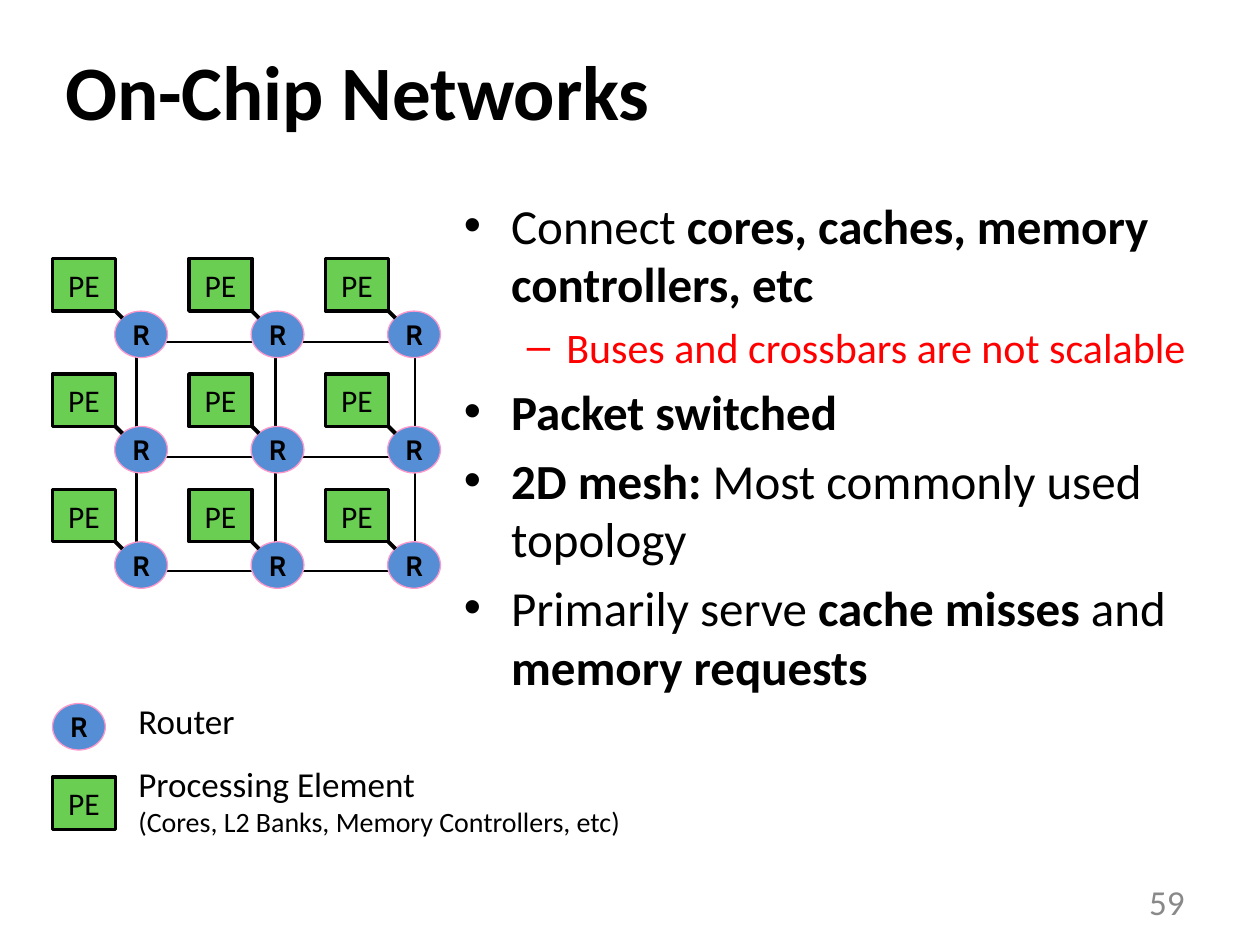
from pptx import Presentation
from pptx.util import Pt
from pptx.dml.color import RGBColor
from pptx.enum.shapes import MSO_SHAPE as Shape, MSO_CONNECTOR as Link
from pptx.enum.text import PP_ALIGN as Align, MSO_ANCHOR as Anchor
from pptx.enum.text import MSO_AUTO_SIZE as Auto
from pptx.oxml import parse_xml
from pptx.oxml.ns import nsdecls
from pptx.oxml.xmlchemy import OxmlElement as Node

INK = {"black": "000000", "red": "FF0000", "gray": "898989",
       "blue": "558ED5", "green": "6ACE52", "pink": "FF99CC"}


def rgb(name):
    return RGBColor.from_string(INK[name])


def write(para, text, size=20, color="black", bold=False, font="Calibri"):
    run = para.add_run()
    run.text = text
    run.font.size = Pt(size)
    run.font.name = font
    run.font.bold = bold
    run.font.color.rgb = rgb(color)


def bullet(para, mark, left, hang):
    props = para._p.get_or_add_pPr()
    props.set("marL", str(Pt(left)))
    props.set("indent", str(-Pt(hang)))
    face = Node("a:buFont")
    face.set("typeface", "Arial")
    sign = Node("a:buChar")
    sign.set("char", mark)
    props.extend([face, sign])


class Board:
    """Holds the slide and the place (slide or group) that shapes go to."""

    def __init__(self, slide):
        self.slide = slide
        self.place = slide.shapes

    def group(self):
        self.place = self.slide.shapes.add_group_shape().shapes

    def ungroup(self):
        self.place = self.slide.shapes

    def title(self, text, *box):
        head = self.slide.shapes.title
        head.left, head.top, head.width, head.height = map(Pt, box)
        frame = head.text_frame
        frame.vertical_anchor = Anchor.MIDDLE
        para = frame.paragraphs[0]
        para.alignment = Align.LEFT
        write(para, text, size=44, bold=True)

    def text(self, lines, *box, wrap=False, align=Align.LEFT, anchor=Anchor.TOP):
        """Add a text box; each line is a (text, format) pair."""
        frame = self.place.add_textbox(*map(Pt, box)).text_frame
        frame.word_wrap = wrap
        frame.auto_size = Auto.NONE if wrap else Auto.SHAPE_TO_FIT_TEXT
        frame.vertical_anchor = anchor
        for i, (line, form) in enumerate(lines):
            para = frame.add_paragraph() if i else frame.paragraphs[0]
            para.alignment = align
            write(para, line, **form)

    def points(self, items, *box):
        """Add bullets; each item is a level and its (text, bold) runs."""
        frame = self.place.add_textbox(*map(Pt, box)).text_frame
        frame.word_wrap = True
        for i, (level, runs) in enumerate(items):
            para = frame.add_paragraph() if i else frame.paragraphs[0]
            para.level = level
            size, color, mark, left, hang = LEVELS[level]
            para.space_before = Pt(size * 0.2)
            bullet(para, mark, left, hang)
            for text, bold in runs:
                write(para, text, size=size, color=color, bold=bold)

    def shape(self, kind, label, *box, fill, line, width, wrap=True, **form):
        item = self.place.add_shape(kind, *map(Pt, box))
        item.shadow.inherit = False
        item.fill.solid()
        item.fill.fore_color.rgb = rgb(fill)
        item.line.color.rgb = rgb(line)
        item.line.width = Pt(width)
        frame = item.text_frame
        frame.word_wrap = wrap
        frame.vertical_anchor = Anchor.MIDDLE
        para = frame.paragraphs[0]
        para.alignment = Align.CENTER
        write(para, label, **form)

    def router(self, x, y):
        self.shape(Shape.OVAL, "R", x, y, 30.2, 26.6, fill="blue", line="pink",
                   width=0.75, wrap=False, size=16, bold=True, font="Cabin")

    def core(self, x, y):
        self.shape(Shape.RECTANGLE, "PE", x, y, 36, 30, fill="green",
                   line="black", width=2, size=18)

    def line(self, *ends):
        item = self.place.add_connector(Link.STRAIGHT, *map(Pt, ends))
        item.line.color.rgb = rgb("black")
        item.line.width = Pt(2.25)
        item._element.spPr.append(Node("a:effectLst"))

    def tile(self, x, y):
        """Add a processing element tied to its router."""
        self.group()
        self.router(x + 35.5, y + 30)
        self.core(x, y)
        self.line(x + 36, y + 30, x + 40, y + 34)
        self.ungroup()

    def mesh(self, count, *box):
        """Add an empty table whose borders are the links."""
        table = self.place.add_table(count, count, *map(Pt, box)).table
        table.first_row = table.horz_banding = False
        for cell in table.iter_cells():
            cell.fill.background()
            props = cell._tc.get_or_add_tcPr()
            for i, side in enumerate(("lnL", "lnR", "lnT", "lnB")):
                props.insert(i, parse_xml(
                    f'<a:{side} {nsdecls("a")} w="{Pt(1.5)}"><a:solidFill>'
                    f'<a:srgbClr val="{INK["black"]}"/></a:solidFill></a:{side}>'))


# size, colour, mark, left indent, hang
LEVELS = [(28, "black", "•", 27, 27), (24, "red", "–", 58.5, 22.5)]
POINTS = [
    (0, [("Connect ", False), ("cores, caches, memory controllers, etc", True)]),
    (1, [("Buses and crossbars are not scalable", False)]),
    (0, [("Packet switched", True)]),
    (0, [("2D mesh: ", True), ("Most commonly used topology", False)]),
    (0, [("Primarily serve ", False), ("cache misses ", True), ("and", False),
         (" memory requests", True)]),
]
LEFT, TOP, STEP_X, STEP_Y, SIDE = 30, 147.8, 78, 65.9, 3


def main():
    deck = Presentation()
    deck.slide_width, deck.slide_height = Pt(720), Pt(540)
    board = Board(deck.slides.add_slide(deck.slide_layouts[5]))
    board.title("On-Chip Networks", 30, 6, 648, 90)
    board.text([("59", {"color": "gray"})], 516, 500.5, 168, 28.75,
               wrap=True, align=Align.RIGHT, anchor=Anchor.MIDDLE)

    board.mesh(SIDE - 1, 78, 195.5, 159, 131)
    for row in reversed(range(SIDE)):
        for col in range(SIDE):
            board.tile(LEFT + col * STEP_X, TOP + row * STEP_Y)

    board.group()
    board.router(LEFT, 402)
    board.text([("Router", {})], 72, 396, 70, 31.5)
    board.text([("Processing Element", {}),
                ("(Cores, L2 Banks, Memory Controllers, etc)", {"size": 16})],
               72, 432, 293, 51)
    board.core(LEFT, 444)
    board.ungroup()

    board.points(POINTS, 258, 108, 450, 318)
    deck.save("out.pptx")


if __name__ == "__main__":
    main()
